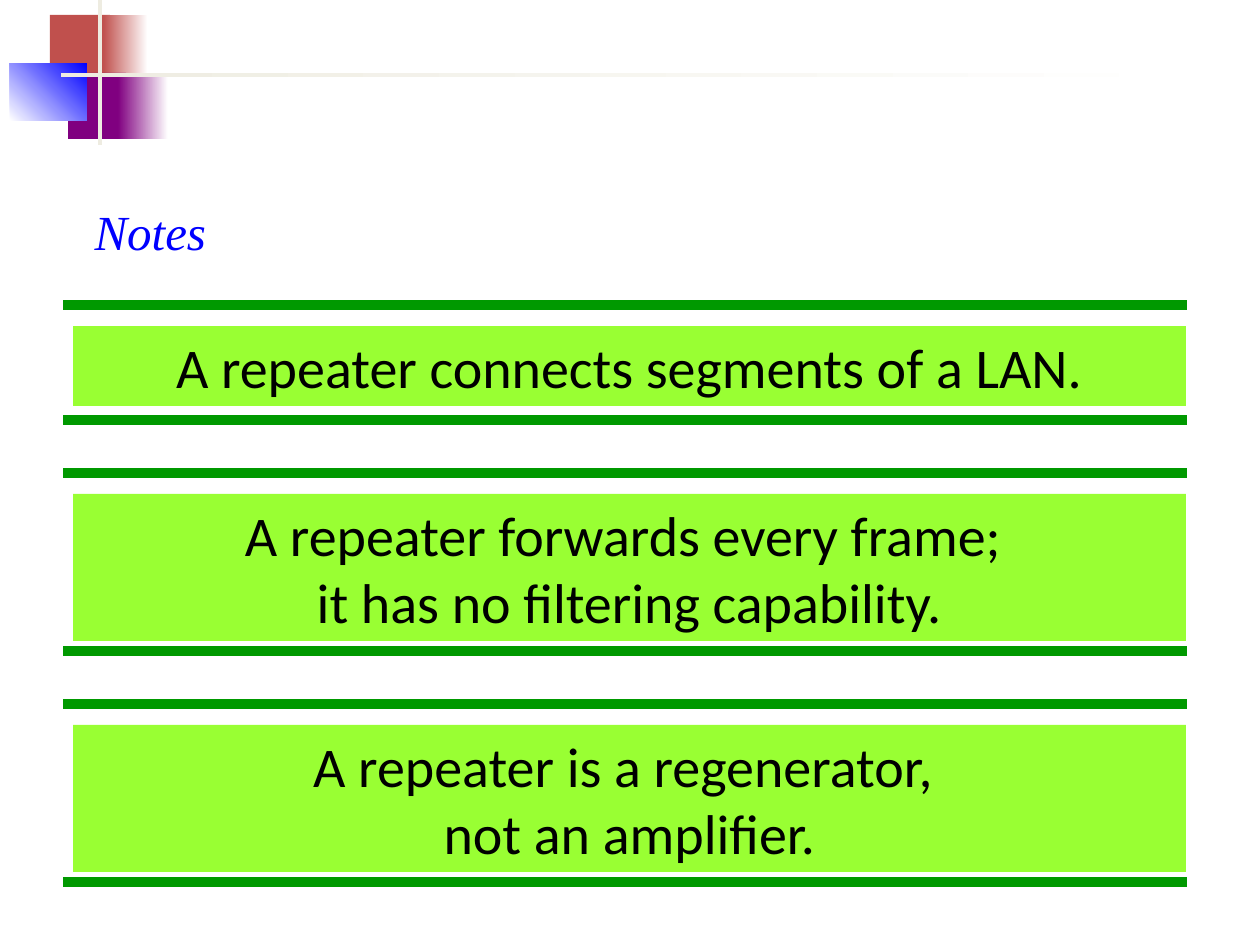
from lxml.etree import SubElement
from pptx import Presentation
from pptx.dml.color import RGBColor
from pptx.enum.shapes import MSO_CONNECTOR, MSO_SHAPE
from pptx.enum.text import MSO_ANCHOR, MSO_AUTO_SIZE, PP_ALIGN
from pptx.oxml.ns import qn
from pptx.util import Emu, Pt

WHITE = RGBColor(0xFF, 0xFF, 0xFF)
BLACK = RGBColor(0x00, 0x00, 0x00)
RED = RGBColor(0xC0, 0x50, 0x4D)
PURPLE = RGBColor(0x80, 0x00, 0x80)
BLUE = RGBColor(0x00, 0x00, 0xFF)
CREAM = RGBColor(0xEE, 0xEC, 0xE1)
GREEN = RGBColor(0x00, 0x99, 0x00)
LIME = RGBColor(0x99, 0xFF, 0x33)

PX_PER_INCH = 126
RULE_LEFT, RULE_RIGHT = 63, 1187
BANNER_LEFT, BANNER_WIDTH, BANNER_GAP = 73, 1113, 21


def px(length):
    """Turn whole pixels into EMU."""
    return Emu(round(length * 914400 / PX_PER_INCH))


class NotesSlide:
    """Hold the style and the slide being drawn."""

    def __init__(self, slide):
        """Keep the slide and its fonts."""
        self.slide = slide
        self.title_font = "Times New Roman"
        self.body_font = "Calibri"

    def block(self, left, top, width, height, color, end_color=None, angle=0):
        """Draw a borderless rectangle, solid or fading to a second colour."""
        shape = self.slide.shapes.add_shape(
            MSO_SHAPE.RECTANGLE, px(left), px(top), px(width), px(height))
        shape.shadow.inherit = False
        shape.line.fill.background()
        if end_color is None:
            shape.fill.solid()
            shape.fill.fore_color.rgb = color
        else:
            shape.fill.gradient()
            shape.fill.gradient_angle = angle
            for stop, stop_color in zip(shape.fill.gradient_stops, (color, end_color)):
                stop.color.rgb = stop_color
        return shape

    def title(self, text, left, top, width, height):
        """Place and format the title placeholder."""
        title = self.slide.shapes.title
        title.left, title.top = px(left), px(top)
        title.width, title.height = px(width), px(height)
        frame = title.text_frame
        frame.text = text
        frame.word_wrap = False
        frame.auto_size = MSO_AUTO_SIZE.SHAPE_TO_FIT_TEXT
        frame.vertical_anchor = MSO_ANCHOR.TOP
        paragraph = frame.paragraphs[0]
        paragraph.alignment = PP_ALIGN.LEFT
        self.style(paragraph, self.title_font, 28, BLUE)
        paragraph.font.italic = True

    def rule(self, y):
        """Draw a thick green horizontal line."""
        line = self.slide.shapes.add_connector(
            MSO_CONNECTOR.STRAIGHT, px(RULE_LEFT), px(y), px(RULE_RIGHT), px(y))
        line.line.color.rgb = GREEN
        line.line.width = Pt(6)
        SubElement(line._element.spPr, qn("a:effectLst"))

    def banner(self, text, top, bottom, height):
        """Draw a centred statement between two rules."""
        self.rule(top)
        self.rule(bottom)
        shape = self.block(BANNER_LEFT, top + BANNER_GAP, BANNER_WIDTH, height, LIME)
        frame = shape.text_frame
        frame.word_wrap = True
        frame.auto_size = MSO_AUTO_SIZE.SHAPE_TO_FIT_TEXT
        frame.vertical_anchor = MSO_ANCHOR.TOP
        paragraph = frame.paragraphs[0]
        paragraph.text = text
        paragraph.alignment = PP_ALIGN.CENTER
        self.style(paragraph, self.body_font, 32, BLACK)

    def style(self, paragraph, name, size, color):
        """Set the font of a paragraph."""
        paragraph.font.name = name
        paragraph.font.size = Pt(size)
        paragraph.font.color.rgb = color


def main():
    """Build and save the presentation."""
    presentation = Presentation()
    presentation.slide_width = px(1260)
    presentation.slide_height = px(945)
    notes = NotesSlide(presentation.slides.add_slide(presentation.slide_layouts[5]))

    notes.block(50, 15, 60, 66, RED)
    notes.block(103, 15, 45, 66, RED, WHITE)
    notes.block(68, 73, 58, 66, PURPLE)
    notes.block(118, 73, 50, 66, PURPLE, WHITE)
    notes.block(10, 63, 77, 58, WHITE, BLUE, angle=45)
    notes.block(98, 0, 4, 145, CREAM)
    notes.block(61, 73, 1134, 4, CREAM, WHITE)

    notes.title("Notes", 82, 195, 137, 72)
    for text, top, bottom, height in (
        ("A repeater connects segments of a LAN.", 305, 420, 80),
        ("A repeater forwards every frame; \vit has no filtering capability.", 473, 651, 147),
        ("A repeater is a regenerator, \vnot an amplifier.", 704, 882, 147),
    ):
        notes.banner(text, top, bottom, height)

    presentation.save("out.pptx")


if __name__ == "__main__":
    main()
